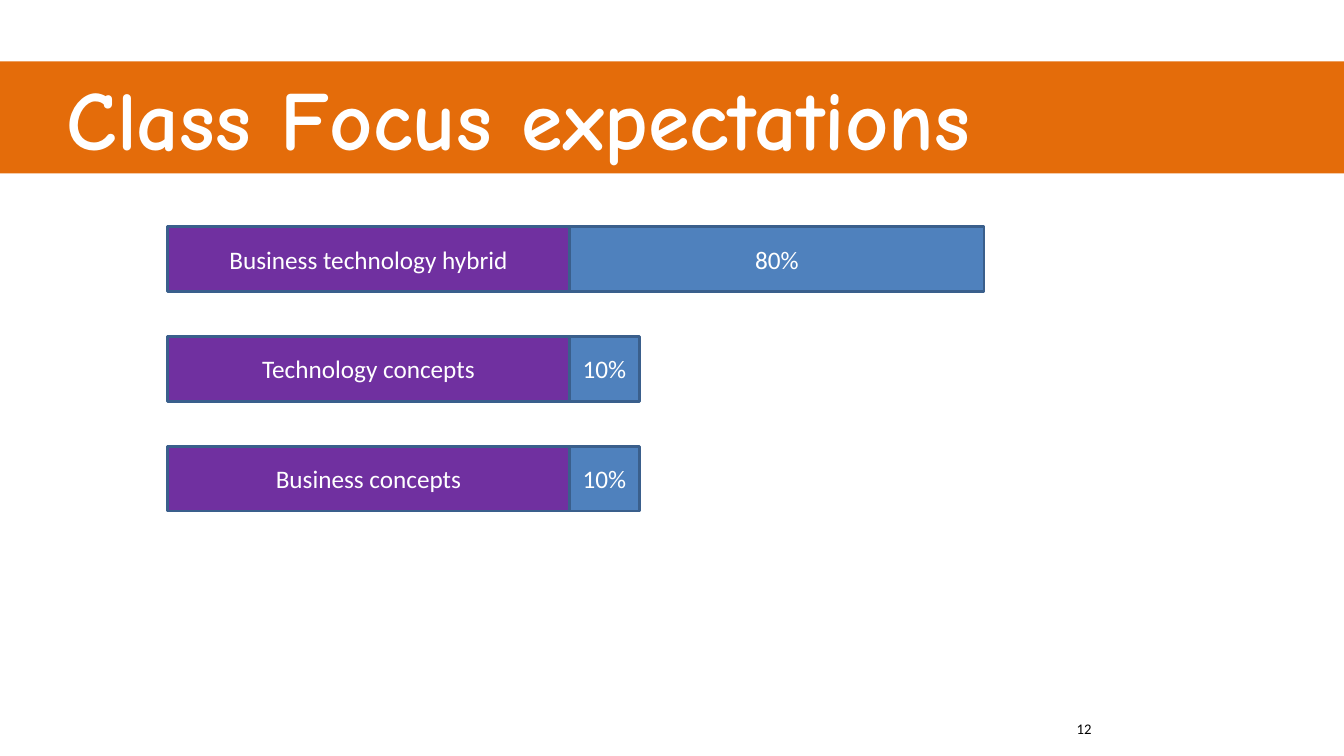
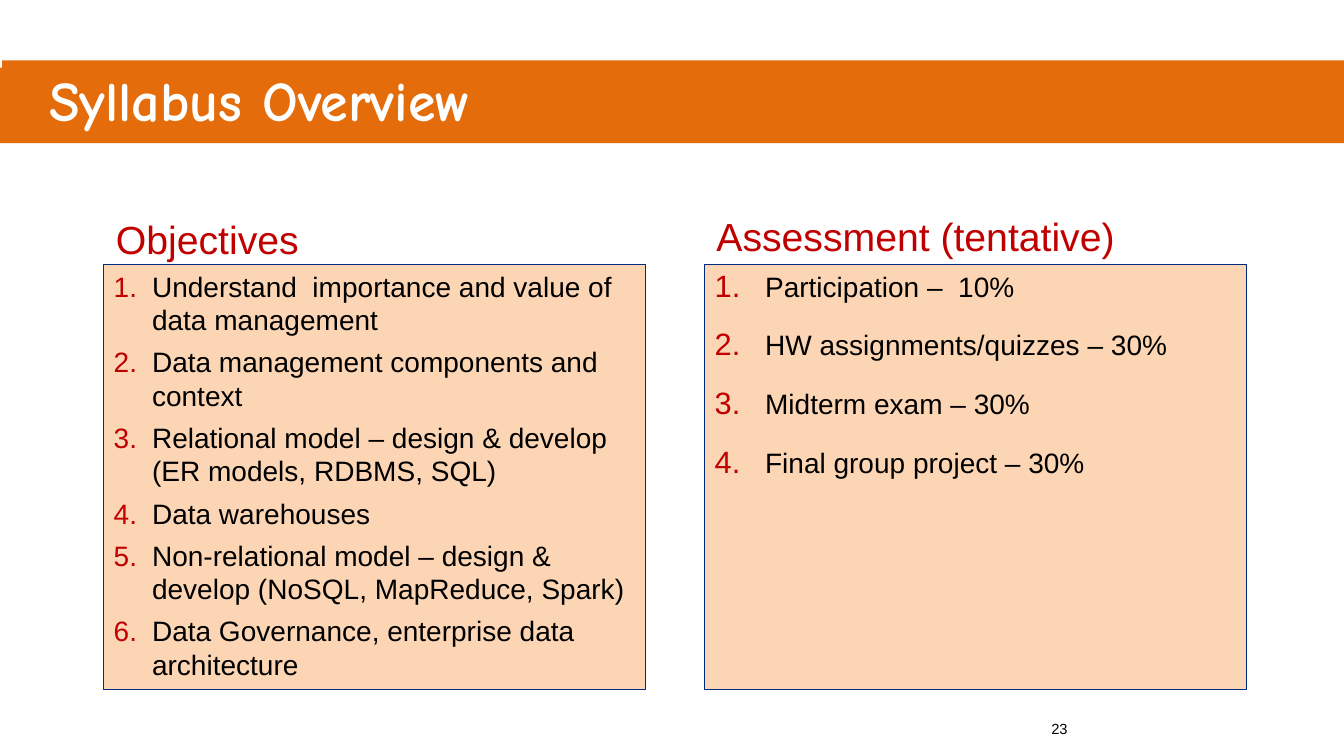
"""Build two course slides: class focus expectations and a syllabus overview."""
from lxml import etree
from pptx import Presentation
from pptx.dml.color import RGBColor
from pptx.enum.shapes import MSO_SHAPE
from pptx.enum.text import MSO_ANCHOR, MSO_AUTO_SIZE, PP_ALIGN
from pptx.oxml.ns import qn
from pptx.util import Inches, Pt

ORANGE = RGBColor(0xE4, 0x6C, 0x0A)
PURPLE = RGBColor(0x70, 0x30, 0xA0)
BLUE = RGBColor(0x4F, 0x81, 0xBD)
BAR_EDGE = RGBColor(0x3A, 0x5F, 0x8C)
PEACH = RGBColor(0xFC, 0xD5, 0xB5)
NAVY = RGBColor(0x00, 0x2A, 0x7E)
RED = RGBColor(0xC0, 0x00, 0x00)
WHITE = RGBColor(0xFF, 0xFF, 0xFF)
BLACK = RGBColor(0x00, 0x00, 0x00)

RECTANGLE = MSO_SHAPE.RECTANGLE
ROUNDED = MSO_SHAPE.ROUNDED_RECTANGLE
LEFT, CENTER = PP_ALIGN.LEFT, PP_ALIGN.CENTER
TOP, MIDDLE = MSO_ANCHOR.TOP, MSO_ANCHOR.MIDDLE
NO_FIT = MSO_AUTO_SIZE.NONE

SLIDE_WIDTH = 13.33
TITLE_FONT = "Comic Neue"


def add_box(page, shape_type, place, fill, edge=None, edge_width=2):
    """Add a flat filled shape, outlined if an edge colour is given."""
    box = page.shapes.add_shape(shape_type, *map(Inches, place))
    box.shadow.inherit = False
    box.fill.solid()
    box.fill.fore_color.rgb = fill
    if edge is None:
        box.line.fill.background()
    else:
        box.line.color.rgb = edge
        box.line.width = Pt(edge_width)
    return box


def write(box, lines, font, size, color, align=LEFT, anchor=TOP, bold=False):
    """Write one formatted paragraph per line and return the paragraphs."""
    frame = box.text_frame
    frame.word_wrap = True
    frame.auto_size = NO_FIT
    frame.vertical_anchor = anchor
    for index, line in enumerate(lines):
        para = frame.add_paragraph() if index else frame.paragraphs[0]
        para.alignment = align
        span = para.add_run()
        span.text = line
        span.font.name = font
        span.font.size = Pt(size)
        span.font.bold = bold
        span.font.color.rgb = color
    return frame.paragraphs


deck = Presentation()
deck.slide_width = Inches(SLIDE_WIDTH)
deck.slide_height = Inches(7.5)
title_only = deck.slide_layouts[5]

headers = [
    ("Class Focus expectations", 60, (0, 0.61, 13.33, 1.11), 0.66, "12", "Calibri", 10.58),
    ("Syllabus Overview", 40, (0.02, 0.6, 13.31, 0.77), 0.47, "23", "Arial", 10.33),
]
pages = []
for heading, size, place, indent, number, number_font, number_left in headers:
    page = deck.slides.add_slide(title_only)
    title = page.shapes.title
    title.left, title.top, title.width, title.height = map(Inches, place)
    title.fill.solid()
    title.fill.fore_color.rgb = ORANGE
    title.text_frame.margin_left = Inches(indent)
    write(title, [heading], TITLE_FONT, size, WHITE, bold=True)

    band = add_box(page, RECTANGLE, (0, 0.67, SLIDE_WIDTH, 0.75), ORANGE)
    title._element.addprevious(band._element)

    number_place = (number_left, 7.09, SLIDE_WIDTH - number_left, 0.4)
    number_box = page.shapes.add_textbox(*map(Inches, number_place))
    write(number_box, [number], number_font, 10.5, BLACK)
    pages.append(page)

focus_page, syllabus_page = pages

focus_bars = [
    ("Business technology hybrid", "80%", 4.11),
    ("Technology concepts", "10%", 0.69),
    ("Business concepts", "10%", 0.69),
]
LABEL_LEFT, LABEL_WIDTH, BAR_HEIGHT = 1.66, 3.99, 0.64
for row, (topic, share, share_width) in enumerate(focus_bars):
    top = 2.25 + 1.09 * row
    segments = [
        (share, LABEL_LEFT + LABEL_WIDTH, share_width, BLUE),
        (topic, LABEL_LEFT, LABEL_WIDTH, PURPLE),
    ]
    for text, left, width, fill in segments:
        bar = add_box(focus_page, RECTANGLE, (left, top, width, BAR_HEIGHT), fill, BAR_EDGE)
        write(bar, [text], "Calibri", 18, WHITE, CENTER, MIDDLE)

objectives = [
    "Understand  importance and value of data management",
    "Data management components and context",
    "Relational model – design & develop (ER models, RDBMS, SQL)",
    "Data warehouses",
    "Non-relational model – design & develop (NoSQL, MapReduce, Spark)",
    "Data Governance, enterprise data architecture",
]
assessment = [
    "Participation –  10%",
    "HW assignments/quizzes – 30%",
    "Midterm exam – 30%",
    "Final group project – 30%",
]
panels = [
    ("Objectives", (1.03, 2.14, 2.44, 0.45), objectives, 0.38, 0, 100),
    ("Assessment (tentative)", (6.99, 2.16, 4.82, 0.36), assessment, 0.5, 12, 110),
]
for heading, heading_place, items, indent, space_before, number_percent in panels:
    panel_place = (heading_place[0], 2.62, 5.37, 4.22)
    panel = add_box(syllabus_page, RECTANGLE, panel_place, PEACH, NAVY, 0.75)
    for para in write(panel, items, "Arial", 20, BLACK):
        para.space_before = Pt(space_before)
        para.space_after = Pt(6)
        props = para._p.get_or_add_pPr()
        props.set("marL", str(Inches(indent)))
        props.set("indent", str(-Inches(indent)))
        number_color = etree.SubElement(props, qn("a:buClr"))
        etree.SubElement(number_color, qn("a:srgbClr"), val=str(RED))
        etree.SubElement(props, qn("a:buSzPct"), val=str(number_percent * 1000))
        etree.SubElement(props, qn("a:buFont"), typeface="Arial")
        etree.SubElement(props, qn("a:buAutoNum"), type="arabicPeriod")

    label = add_box(syllabus_page, ROUNDED, heading_place, WHITE, WHITE)
    write(label, [heading], "Arial", 28, RED, anchor=MIDDLE)

deck.save("out.pptx")
